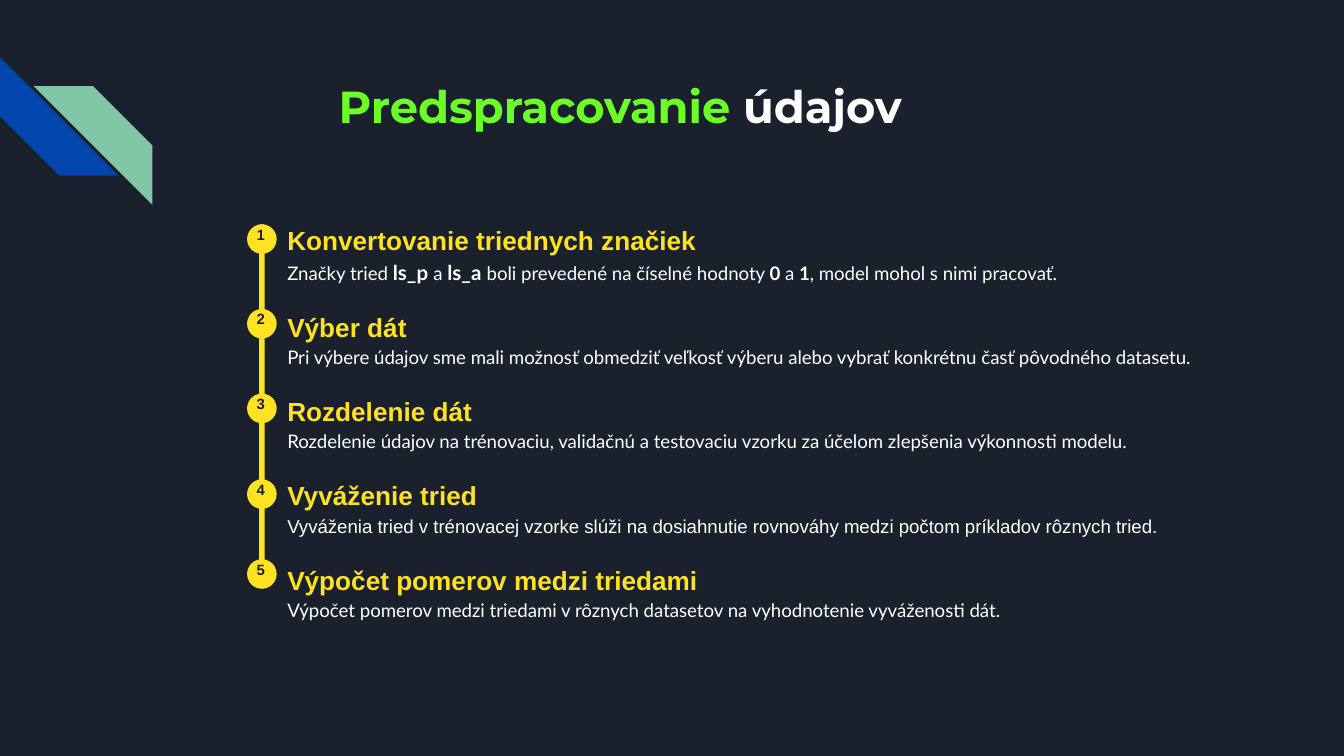
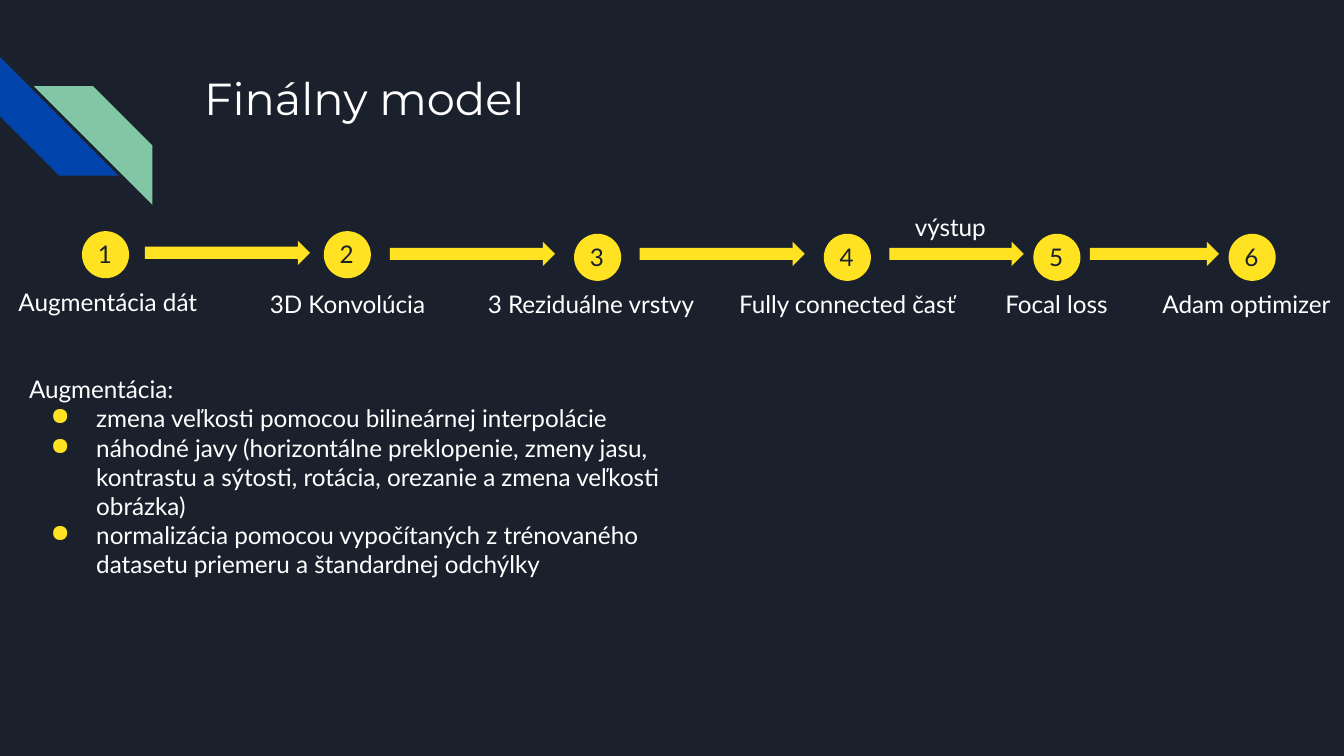
from dataclasses import dataclass

from lxml import etree
from pptx import Presentation
from pptx.dml.color import RGBColor
from pptx.enum.shapes import MSO_SHAPE
from pptx.enum.text import MSO_ANCHOR, MSO_AUTO_SIZE
from pptx.oxml.ns import qn
from pptx.util import Cm, Pt

ELLIPSE = MSO_SHAPE.OVAL
STRIPE = MSO_SHAPE.DIAGONAL_STRIPE
ARROW = MSO_SHAPE.RIGHT_ARROW
ROUNDED = MSO_SHAPE.ROUNDED_RECTANGLE
TOP = MSO_ANCHOR.TOP
GROW = MSO_AUTO_SIZE.SHAPE_TO_FIT_TEXT


@dataclass(frozen=True)
class Theme:
    night: str = "1B212C"
    blue: str = "0145AC"
    mint: str = "82C7A5"
    green: str = "6BFF27"
    yellow: str = "FFE322"
    white: str = "FFFFFF"
    title_font: str = "Montserrat"
    heading_font: str = "Arial"
    body_font: str = "Lato"
    title_size: int = 24
    heading_size: int = 14
    text_size: int = 13
    code_size: int = 11
    detail_size: int = 10
    badge_size: int = 8
    inset: float = 0.25


@dataclass(frozen=True)
class Style:
    name: str
    size: int
    color: str
    bold: bool = False

    def apply(self, font):
        font.name = self.name
        font.size = Pt(self.size)
        font.bold = self.bold
        font.color.rgb = RGBColor.from_string(self.color)


THEME = Theme()
TITLE = Style(THEME.title_font, THEME.title_size, THEME.white)
TITLE_BOLD = Style(THEME.title_font, THEME.title_size, THEME.white, True)
TITLE_GREEN = Style(THEME.title_font, THEME.title_size, THEME.green, True)
HEADING = Style(THEME.heading_font, THEME.heading_size, THEME.yellow, True)
DETAIL = Style(THEME.body_font, THEME.detail_size, THEME.white)
DETAIL_BOLD = Style(THEME.body_font, THEME.detail_size, THEME.white, True)
DETAIL_ARIAL = Style(THEME.heading_font, THEME.detail_size, THEME.white)
CODE = Style(THEME.body_font, THEME.code_size, THEME.white, True)
BADGE = Style(THEME.heading_font, THEME.badge_size, THEME.night, True)
TEXT = Style(THEME.body_font, THEME.text_size, THEME.white)
NUMBER = Style(THEME.body_font, THEME.text_size, THEME.night)

PREPROCESSING = [
    (4.24, "Konvertovanie triednych značiek", [
        ("Značky tried ", DETAIL), ("ls_p ", CODE), ("a ", DETAIL), ("ls_a ", CODE),
        ("boli prevedené na číselné hodnoty ", DETAIL), ("0", DETAIL_BOLD),
        (" a ", DETAIL), ("1", DETAIL_BOLD), (", model mohol s nimi pracovať.", DETAIL)]),
    (5.84, "Výber dát", [
        ("Pri výbere údajov sme mali možnosť obmedziť veľkosť výberu alebo vybrať "
         "konkrétnu časť pôvodného datasetu.", DETAIL)]),
    (7.44, "Rozdelenie dát", [
        ("Rozdelenie údajov na trénovaciu, validačnú a testovaciu vzorku za účelom "
         "zlepšenia výkonnosti modelu.", DETAIL)]),
    (9.06, "Vyváženie tried", [
        ("Vyváženia tried v trénovacej vzorke slúži na dosiahnutie rovnováhy medzi "
         "počtom príkladov rôznych tried.", DETAIL_ARIAL)]),
    (10.57, "Výpočet pomerov medzi triedami", [
        ("Výpočet pomerov medzi triedami v rôznych datasetov na vyhodnotenie "
         "vyváženosti dát.", DETAIL)]),
]

MODEL_STEPS = [
    ("Augmentácia dát", (1.55, 4.37), (0.1, 5.18, 4.65, 1.63)),
    ("3D Konvolúcia", (6.12, 4.37), (4.85, 5.21, 3.66, 1.63)),
    ("3 Reziduálne vrstvy", (10.85, 4.42), (8.97, 5.21, 4.65, 1.24)),
    ("Fully connected časť", (15.57, 4.42), (13.72, 5.21, 4.7, 1.24)),
    ("Focal loss", (19.53, 4.42), (18.75, 5.21, 2.5, 1.24)),
    ("Adam optimizer", (23.22, 4.42), (21.72, 5.21, 3.68, 1.24)),
]

MODEL_ARROWS = [
    (2.74, 4.55, 3.12), (7.37, 4.57, 3.12), (12.09, 4.57, 3.12),
    (16.81, 4.57, 2.54), (20.6, 4.57, 2.44),
]

AUGMENTATIONS = [
    "zmena veľkosti pomocou bilineárnej interpolácie",
    "náhodné javy (horizontálne preklopenie, zmeny jasu, kontrastu a sýtosti, "
    "rotácia, orezanie a zmena veľkosti obrázka)",
    "normalizácia pomocou vypočítaných z trénovaného datasetu priemeru a "
    "štandardnej odchýlky",
]


class Builder:
    def __init__(self, theme):
        self.theme = theme
        self.deck = Presentation()
        self.deck.slide_width = Cm(25.4)
        self.deck.slide_height = Cm(14.29)
        self.page = None

    def new_page(self):
        self.page = self.deck.slides.add_slide(self.deck.slide_layouts[6])
        fill = self.page.background.fill
        fill.solid()
        fill.fore_color.rgb = RGBColor.from_string(self.theme.night)
        self.shape(STRIPE, (0, 1.08, 2.24, 2.24), self.theme.blue).rotation = 270
        self.shape(STRIPE, (0.64, 1.63, 2.24, 2.24), self.theme.mint).rotation = 90

    def shape(self, kind, area, color):
        shape = self.page.shapes.add_shape(kind, *map(Cm, area))
        shape.shadow.inherit = False
        shape.fill.solid()
        shape.fill.fore_color.rgb = RGBColor.from_string(color)
        shape.line.fill.background()
        return shape

    def frame(self, area):
        frame = self.page.shapes.add_textbox(*map(Cm, area)).text_frame
        frame.word_wrap = True
        frame.vertical_anchor = TOP
        inset = Cm(self.theme.inset)
        frame.margin_left = frame.margin_right = inset
        frame.margin_top = frame.margin_bottom = inset
        return frame

    def text(self, area, words, style, grow=False):
        frame = self.frame(area)
        if grow:
            frame.auto_size = GROW
        para = frame.paragraphs[0]
        para.text = words
        style.apply(para.font)
        return frame

    def spans(self, para, parts):
        for words, style in parts:
            span = para.add_run()
            span.text = words
            style.apply(span.font)

    def indent(self, para, left, first):
        properties = para._p.get_or_add_pPr()
        properties.set("marL", str(Cm(left)))
        properties.set("indent", str(Cm(first)))
        return properties

    def bullet(self, frame, words, style):
        para = frame.add_paragraph()
        properties = self.indent(para, 1.27, -0.86)
        color = etree.SubElement(properties, qn("a:buClr"))
        etree.SubElement(color, qn("a:srgbClr"), val=self.theme.yellow)
        etree.SubElement(properties, qn("a:buChar"), char="●")
        para.text = words
        style.apply(para.font)

    def topic(self, para, heading, details):
        para.line_spacing = 1.15
        self.spans(para, [(heading, HEADING)])
        para.add_line_break()
        size = str(Pt(HEADING.size).centipoints)
        etree.SubElement(para._p[-1], qn("a:rPr"), sz=size)
        self.spans(para, details)

    def circle(self, left, top, size):
        self.shape(ELLIPSE, (left, top, size, size), self.theme.yellow)


def preprocessing_page(builder):
    builder.new_page()
    title = builder.frame((3.61, 1.24, 19.56, 2.54)).paragraphs[0]
    builder.indent(title, 1.27, 1.27)
    builder.spans(title, [("Predspracovanie", TITLE_GREEN), (" údajov", TITLE_BOLD)])

    body = builder.frame((5.18, 3.91, 19.56, 8.59))
    rail = builder.shape(ROUNDED, (4.9, 4.24, 0.1, 6.8), builder.theme.yellow)
    rail.adjustments[0] = 0.17
    for number, (top, heading, details) in enumerate(PREPROCESSING, 1):
        if number == 1:
            para = body.paragraphs[0]
        else:
            para = body.add_paragraph()
            para.space_before = Pt(12)
        builder.topic(para, heading, details)
        builder.circle(4.67, top, 0.56)
        builder.text((4.6, top - 0.15, 0.56, 0.86), str(number), BADGE, grow=True)


def model_page(builder):
    builder.new_page()
    builder.text((3.61, 1.09, 19.56, 1.63), "Finálny model", TITLE)
    for number, (label, (left, top), area) in enumerate(MODEL_STEPS, 1):
        builder.circle(left, top, 0.89)
        builder.text((left + 0.05, top - 0.09, 1.02, 0.89), str(number), NUMBER)
        builder.text(area, label, TEXT)
    for left, top, width in MODEL_ARROWS:
        builder.shape(ARROW, (left, top, width, 0.46), builder.theme.yellow)
    builder.text((17.04, 3.76, 1.9, 1.07), "výstup", TEXT, grow=True)

    notes = builder.text((0.3, 6.83, 13.77, 5.44), "Augmentácia:", TEXT)
    for words in AUGMENTATIONS:
        builder.bullet(notes, words, TEXT)


def main():
    builder = Builder(THEME)
    preprocessing_page(builder)
    model_page(builder)
    builder.deck.save("out.pptx")


if __name__ == "__main__":
    main()
